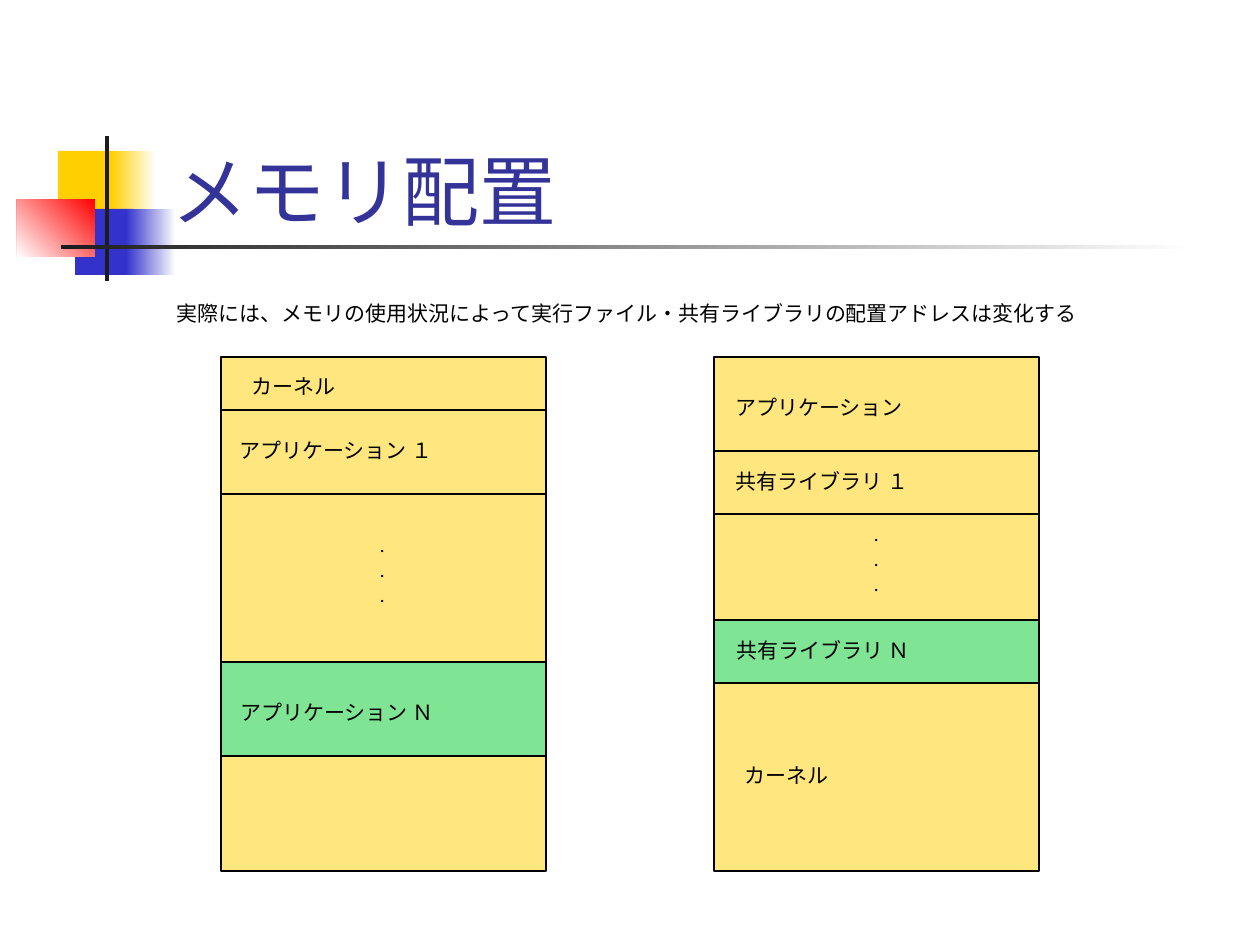
import dataclasses

import lxml.etree
import pptx
import pptx.dml.color
import pptx.enum.shapes
import pptx.enum.text
import pptx.oxml.ns
import pptx.util

PX_PER_INCH = 126
FONT = "Karla"
COLORS = {
    "yellow": "FFCF01", "blue": "3333CC", "red": "FF0000", "white": "FFFFFF",
    "dark": "1C1C1C", "green": "00E4A8", "black": "000000", "title": "333399",
}


@dataclasses.dataclass(frozen=True)
class Ornament:
    left: int
    top: int
    width: int
    height: int
    color: str
    end_color: str = ""
    angle: int = 180


@dataclasses.dataclass(frozen=True)
class Label:
    text: str
    left: int
    top: int
    width: int
    height: int = 38


@dataclasses.dataclass(frozen=True)
class MemoryMap:
    left: int
    dividers: tuple[int, ...]
    labels: tuple[Label, ...]


MAP_TOP, MAP_WIDTH, MAP_HEIGHT = 357, 325, 514

ORNAMENTS = (
    Ornament(58, 151, 60, 66, "yellow"),
    Ornament(111, 151, 45, 66, "white", "yellow"),
    Ornament(75, 209, 58, 66, "blue"),
    Ornament(126, 209, 50, 66, "white", "blue"),
    Ornament(17, 199, 78, 58, "red", "white", 225),
    Ornament(105, 136, 4, 145, "dark"),
    Ornament(61, 245, 1134, 4, "white", "dark"),
)

# The last two dividers of each map enclose its highlighted block.
MEMORY_MAPS = (
    MemoryMap(714, (451, 514, 620, 683), (
        Label("アプリケーション", 723, 388, 196),
        Label("共有ライブラリ １", 723, 462, 198),
        Label("共有ライブラリ Ｎ", 724, 631, 198),
        Label(".\n.\n.", 862, 514, 30, 88),
        Label("カーネル", 732, 756, 116),
    )),
    MemoryMap(221, (410, 494, 662, 756), (
        Label("カーネル", 239, 367, 116),
        Label("アプリケーション １", 227, 431, 219),
        Label("アプリケーション Ｎ", 228, 693, 219),
        Label(".\n.\n.", 368, 525, 30, 88),
    )),
)

NOTE = Label("実際には、メモリの使用状況によって実行ファイル・共有ライブラリの配置アドレスは変化する",
             164, 294, 927)
TITLE = Label("メモリ配置", 159, 84, 1074, 158)


def px(length: int) -> pptx.util.Emu:
    return pptx.util.Emu(length * 914400 // PX_PER_INCH)


def rgb(name: str) -> pptx.dml.color.RGBColor:
    return pptx.dml.color.RGBColor.from_string(COLORS[name])


def fill_half_clear(shape, color: str) -> None:
    shape.fill.solid()
    shape.fill.fore_color.rgb = rgb(color)
    node = next(shape.element.spPr.iter(pptx.oxml.ns.qn("a:srgbClr")))
    lxml.etree.SubElement(node, pptx.oxml.ns.qn("a:alpha"), val="50000")


def add_rectangle(page, left: int, top: int, width: int, height: int):
    shape = page.shapes.add_shape(pptx.enum.shapes.MSO_SHAPE.RECTANGLE,
                                  px(left), px(top), px(width), px(height))
    shape.shadow.inherit = False
    return shape


def add_ornament(page, item: Ornament) -> None:
    shape = add_rectangle(page, item.left, item.top, item.width, item.height)
    shape.line.fill.background()
    if not item.end_color:
        shape.fill.solid()
        shape.fill.fore_color.rgb = rgb(item.color)
        return
    shape.fill.gradient()
    shape.fill.gradient_angle = item.angle
    for stop, color in zip(shape.fill.gradient_stops, (item.color, item.end_color)):
        stop.color.rgb = rgb(color)


def add_block(page, left: int, top: int, height: int, color: str) -> None:
    block = add_rectangle(page, left, top, MAP_WIDTH, height)
    fill_half_clear(block, color)
    block.line.color.rgb = rgb("black")
    block.line.width = pptx.util.Pt(0.75)


def add_divider(page, left: int, top: int) -> None:
    line = page.shapes.add_connector(pptx.enum.shapes.MSO_CONNECTOR.STRAIGHT,
                                     px(left), px(top), px(left + MAP_WIDTH), px(top))
    line.line.color.rgb = rgb("black")
    line.line.width = pptx.util.Pt(0.75)
    lxml.etree.SubElement(line.element.spPr, pptx.oxml.ns.qn("a:effectLst"))


def add_text(page, label: Label, size: int = 12, color: str = "black"):
    box = page.shapes.add_textbox(px(label.left), px(label.top),
                                  px(label.width), px(label.height))
    frame = box.text_frame
    frame.text = label.text
    frame.word_wrap = False
    frame.auto_size = pptx.enum.text.MSO_AUTO_SIZE.SHAPE_TO_FIT_TEXT
    for para in frame.paragraphs:
        para.font.name = FONT
        para.font.size = pptx.util.Pt(size)
        para.font.color.rgb = rgb(color)
    for latin in list(box.element.iter(pptx.oxml.ns.qn("a:latin"))):
        east_asian = lxml.etree.Element(pptx.oxml.ns.qn("a:ea"), typeface=FONT)
        latin.addnext(east_asian)
    return box


def add_title(page) -> None:
    frame = add_text(page, TITLE, 44, "title").text_frame
    frame.word_wrap = True
    frame.auto_size = pptx.enum.text.MSO_AUTO_SIZE.NONE
    frame.vertical_anchor = pptx.enum.text.MSO_ANCHOR.BOTTOM


def add_memory_map(page, memory: MemoryMap) -> None:
    add_block(page, memory.left, MAP_TOP, MAP_HEIGHT, "yellow")
    start, end = memory.dividers[-2:]
    add_block(page, memory.left, start, end - start, "green")
    for top in memory.dividers:
        add_divider(page, memory.left, top)
    for label in memory.labels:
        add_text(page, label)


def main() -> None:
    deck = pptx.Presentation()
    deck.slide_width = pptx.util.Inches(10)
    deck.slide_height = pptx.util.Inches(7.5)
    page = deck.slides.add_slide(deck.slide_layouts[6])
    for ornament in ORNAMENTS:
        add_ornament(page, ornament)
    add_title(page)
    for memory in MEMORY_MAPS:
        add_memory_map(page, memory)
    fill_half_clear(add_text(page, NOTE), "white")
    deck.save("out.pptx")


if __name__ == "__main__":
    main()
